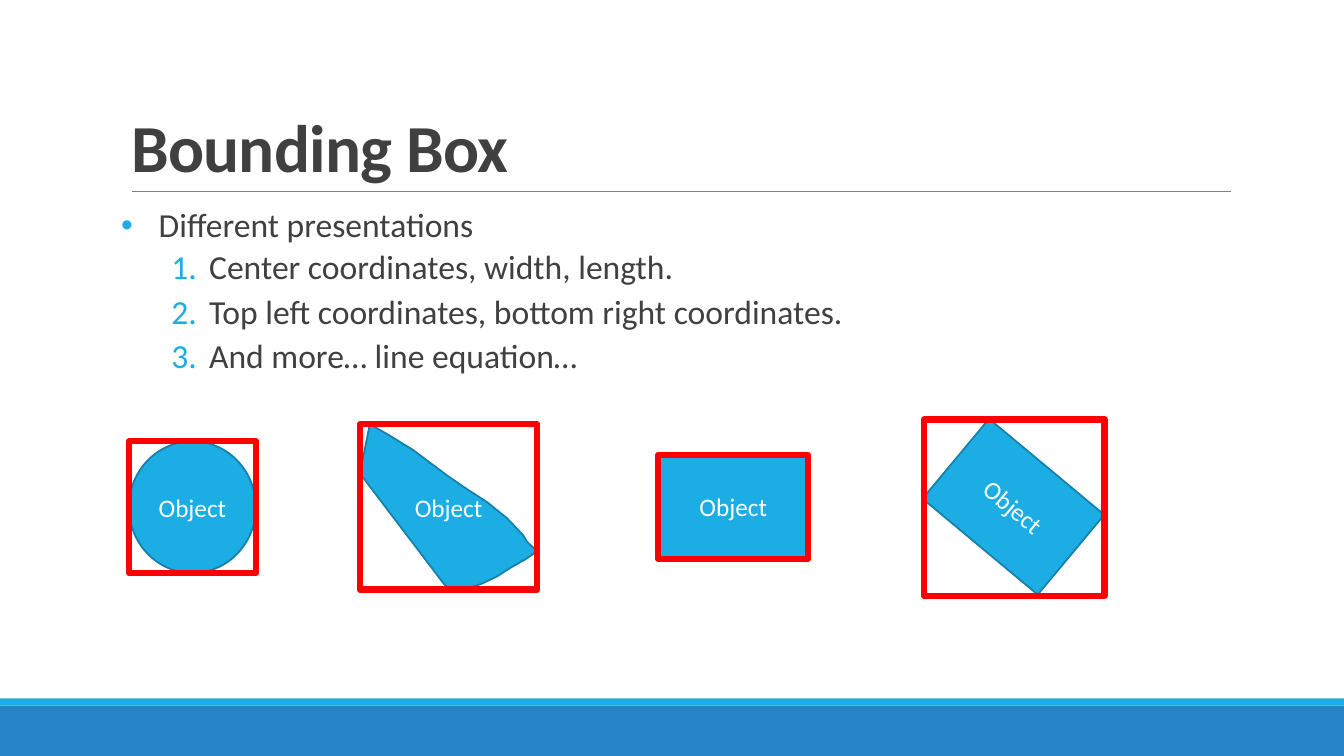
from lxml import etree
from pptx import Presentation
from pptx.dml.color import RGBColor
from pptx.enum.shapes import MSO_CONNECTOR, MSO_SHAPE
from pptx.enum.text import MSO_ANCHOR, MSO_AUTO_SIZE, PP_ALIGN
from pptx.oxml.ns import qn
from pptx.util import Cm, Pt

SKY = RGBColor(0x1C, 0xAD, 0xE4)
BLUE = RGBColor(0x26, 0x83, 0xC6)
TEAL = RGBColor(0x15, 0x80, 0xA9)
RED = RGBColor(0xFF, 0x00, 0x00)
DARK = RGBColor(0x40, 0x40, 0x40)
GRAY = RGBColor(0x80, 0x80, 0x80)
WHITE = RGBColor(0xFF, 0xFF, 0xFF)
FONT = "Calibri"
RECTANGLE = MSO_SHAPE.RECTANGLE
OVAL = MSO_SHAPE.OVAL
STRAIGHT = MSO_CONNECTOR.STRAIGHT
TOP, MIDDLE, BOTTOM = MSO_ANCHOR.TOP, MSO_ANCHOR.MIDDLE, MSO_ANCHOR.BOTTOM
NO_FIT = MSO_AUTO_SIZE.NONE
LEFT, CENTER = PP_ALIGN.LEFT, PP_ALIGN.CENTER

LIST_ITEMS = [
    (0, "Different presentations"),
    (1, "Center coordinates, width, length."),
    (1, "Top left coordinates, bottom right coordinates."),
    (1, "And more… line equation…"),
]
BLADE_OUTLINE = [
    (0.69, 0.25), (1.34, 0.65), (2.21, 1.3), (2.69, 1.63), (3.2, 1.96),
    (3.7, 2.36), (4.11, 2.79), (4.22, 2.97), (4.47, 3.2), (4.18, 3.4),
    (3.81, 3.61), (3.45, 3.84), (3.05, 4.03), (2.69, 4.14), (2.59, 4.17),
    (2.18, 4.09), (2.13, 4.04), (0, 1.24), (0.25, 0),
]
CIRCLE_BOX = (3.25, 11.12, 3.2, 3.32)
BLADE_BOX = (9.07, 10.69, 4.47, 4.17)
UPRIGHT_BOX = (16.59, 11.46, 3.78, 2.62)
TILTED_BOX = (23.65, 11.46, 3.78, 2.62)
TILTED_BOUNDS = (23.29, 10.57, 4.55, 4.45)


def add_run(para, text, size, color, bold=False):
    span = para.add_run()
    span.text = text
    span.font.name = FONT
    span.font.size = Pt(size)
    span.font.color.rgb = color
    span.font.bold = bold
    return span


def place(shape, box):
    shape.left, shape.top, shape.width, shape.height = map(Cm, box)


def add_band(page, box, color):
    band = page.shapes.add_shape(RECTANGLE, *map(Cm, box))
    band.shadow.inherit = False
    band.fill.solid()
    band.fill.fore_color.rgb = color
    band.line.fill.background()


def add_footer(page, box):
    left, top, width, height = box
    strip = 0.18
    add_band(page, (left, top + strip, width, height - strip), BLUE)
    add_band(page, (left, top, width, strip), SKY)


def add_title(page, box):
    left, top, width, height = box
    title = page.shapes.title
    place(title, box)
    frame = title.text_frame
    frame.auto_size = NO_FIT
    frame.word_wrap = True
    frame.vertical_anchor = BOTTOM
    para = frame.paragraphs[0]
    para.alignment = LEFT
    para.line_spacing = 0.85
    span = add_run(para, "Bounding Box", 48, DARK, bold=True)
    span.font._element.set("spc", "-50")
    line_top = Cm(top + height)
    rule = page.shapes.add_connector(
        STRAIGHT, Cm(left + 0.28), line_top, Cm(left + width + 0.02), line_top)
    rule.line.color.rgb = GRAY
    rule.line.width = Pt(0.5)
    etree.SubElement(rule._element.spPr, qn("a:effectLst"))


def add_marker(para, level):
    props = para._p.get_or_add_pPr()
    props.set("marL", str(Cm(2.22 if level else 0.95)))
    props.set("indent", str(-Cm(0.95)))
    color = etree.SubElement(props, qn("a:buClr"))
    etree.SubElement(color, qn("a:srgbClr"), val=str(SKY))
    etree.SubElement(props, qn("a:buFont"), typeface=FONT if level else "Arial")
    if level:
        etree.SubElement(props, qn("a:buAutoNum"), type="arabicPeriod")
    else:
        etree.SubElement(props, qn("a:buChar"), char="•")


def add_list(page, box):
    body = page.placeholders[1]
    place(body, box)
    frame = body.text_frame
    frame.auto_size = NO_FIT
    frame.word_wrap = True
    frame.vertical_anchor = TOP
    frame.margin_left = frame.margin_right = 0
    for index, (level, text) in enumerate(LIST_ITEMS):
        para = frame.add_paragraph() if index else frame.paragraphs[0]
        para.level = level
        para.line_spacing = 0.9
        para.space_before = Pt(2 if index else 0)
        para.space_after = Pt(4 if level else 2)
        add_marker(para, level)
        add_run(para, text, 24, DARK)


def style_object(shape, rotation=0):
    shape.shadow.inherit = False
    shape.rotation = rotation
    shape.fill.solid()
    shape.fill.fore_color.rgb = SKY
    shape.line.color.rgb = TEAL
    shape.line.width = Pt(1.25)
    frame = shape.text_frame
    frame.word_wrap = True
    frame.vertical_anchor = MIDDLE
    para = frame.paragraphs[0]
    para.alignment = CENTER
    add_run(para, "Object", 18, WHITE)


def add_blade(page, box):
    left, top = box[:2]
    points = [(Cm(left + x), Cm(top + y)) for x, y in BLADE_OUTLINE]
    builder = page.shapes.build_freeform(*points[0])
    builder.add_line_segments(points[1:], close=True)
    return builder.convert_to_shape()


def add_bounds(page, box):
    bounds = page.shapes.add_shape(RECTANGLE, *map(Cm, box))
    bounds.shadow.inherit = False
    bounds.fill.background()
    bounds.line.color.rgb = RED
    bounds.line.width = Pt(4.5)
    etree.SubElement(bounds.line._get_or_add_ln(), qn("a:round"))


def add_objects(page):
    style_object(page.shapes.add_shape(OVAL, *map(Cm, CIRCLE_BOX)))
    style_object(add_blade(page, BLADE_BOX))
    for box, rotation in ((UPRIGHT_BOX, 0), (TILTED_BOX, 39.8)):
        style_object(page.shapes.add_shape(RECTANGLE, *map(Cm, box)), rotation)
    for box in (CIRCLE_BOX, BLADE_BOX, UPRIGHT_BOX, TILTED_BOUNDS):
        add_bounds(page, box)


def main():
    deck = Presentation()
    deck.slide_width, deck.slide_height = Cm(33.87), Cm(19.05)
    page = deck.slides.add_slide(deck.slide_layouts[1])
    add_footer(page, (0, 17.6, 33.87, 1.45))
    add_title(page, (3.05, 0.79, 27.94, 4.04))
    add_list(page, (3.05, 5.13, 27.94, 11.18))
    add_objects(page)
    deck.save("out.pptx")


if __name__ == "__main__":
    main()
